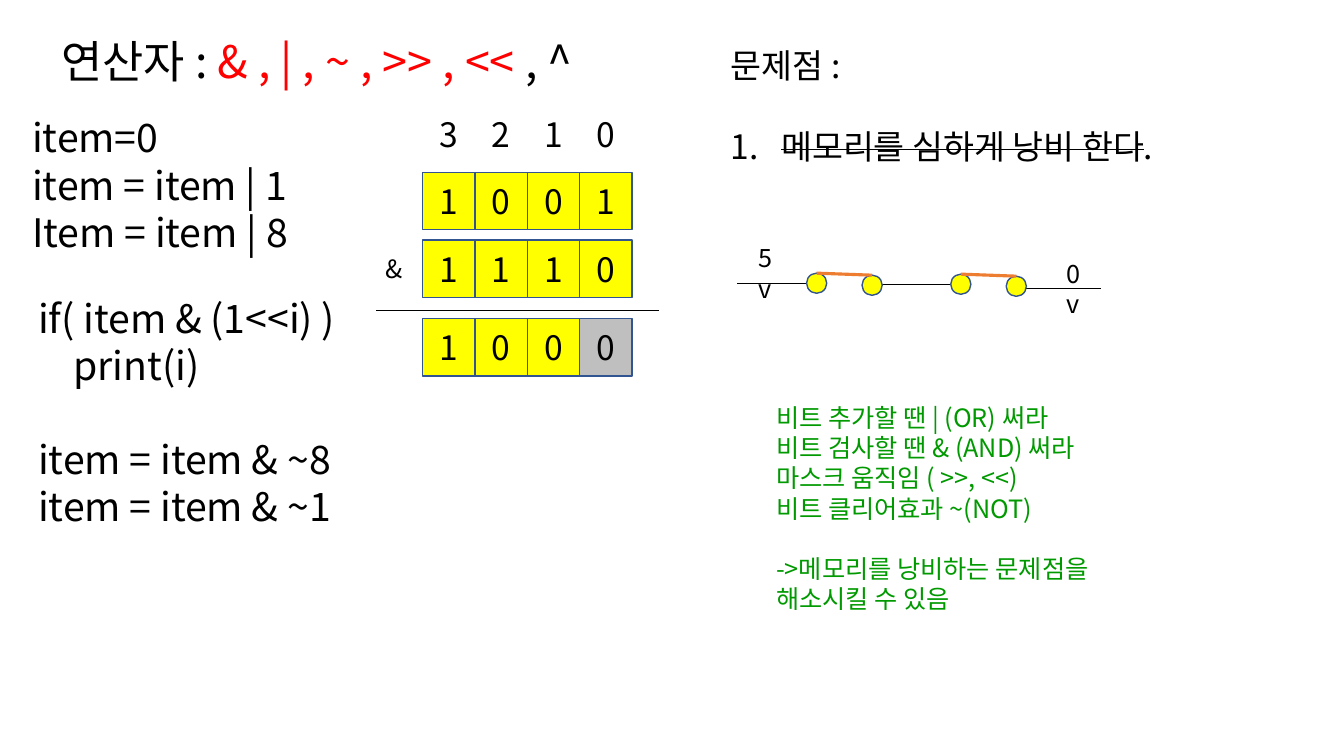
from lxml.etree import SubElement
from pptx import Presentation
from pptx.dml.color import RGBColor
from pptx.enum.shapes import MSO_CONNECTOR, MSO_SHAPE
from pptx.enum.text import MSO_ANCHOR, PP_ALIGN
from pptx.oxml.ns import qn
from pptx.util import Inches, Pt

FONT = "Noto Sans CJK KR"
COLORS = {
    "text": "000000",
    "operator": "FF0000",
    "advice": "009900",
    "bit": "FFFF00",
    "cleared": "BFBFBF",
    "outline": "325491",
    "lever": "ED7D31",
}
LINE_FACTOR = 1.2
CELL_WIDTH, CELL_HEIGHT = 0.52, 0.57
CIRCLE_SIZE = 0.2


def color(name):
    return RGBColor.from_string(COLORS[name])


def add_run(paragraph, text, size=24, fill="text", strike=False):
    run = paragraph.add_run()
    run.text = text
    run.font.size = Pt(size)
    run.font.name = FONT
    run.font.color.rgb = color(fill)
    properties = run._r.get_or_add_rPr()
    SubElement(properties, qn("a:ea")).set("typeface", FONT)
    if strike:
        properties.set("strike", "sngStrike")


def write_line(paragraph, text, size=24, fill="text", gap_lines=0, indent=0):
    line_height = size * LINE_FACTOR
    paragraph.line_spacing = Pt(line_height)
    paragraph.space_before = Pt(gap_lines * line_height)
    if indent:
        paragraph._p.get_or_add_pPr().set("marL", str(Inches(indent)))
    if text:
        add_run(paragraph, text, size, fill)


def add_text(slide, box, lines, size=24, fill="text"):
    shape = slide.shapes.add_textbox(*map(Inches, box))
    frame = shape.text_frame
    frame.word_wrap = True
    for index, (text, options) in enumerate(lines):
        paragraph = frame.add_paragraph() if index else frame.paragraphs[0]
        write_line(paragraph, text, size, fill, **options)
    return frame


def add_line(slide, start, end, stroke="text", width=0.5):
    points = map(Inches, (*start, *end))
    connector = slide.shapes.add_connector(MSO_CONNECTOR.STRAIGHT, *points)
    connector.line.color.rgb = color(stroke)
    connector.line.width = Pt(width)
    SubElement(connector._element.spPr, qn("a:effectLst"))


def add_outlined(slide, kind, box, fill):
    shape = slide.shapes.add_shape(kind, *map(Inches, box))
    shape.shadow.inherit = False
    shape.fill.solid()
    shape.fill.fore_color.rgb = color(fill)
    shape.line.color.rgb = color("outline")
    shape.line.width = Pt(1)
    return shape


def add_digits(slide, left, top, digits, fills=None):
    for index, digit in enumerate(digits):
        box = (left + index * CELL_WIDTH, top, CELL_WIDTH, CELL_HEIGHT)
        if fills:
            shape = add_outlined(slide, MSO_SHAPE.RECTANGLE, box, fills[index])
        else:
            shape = slide.shapes.add_textbox(*map(Inches, box))
        frame = shape.text_frame
        frame.word_wrap = True
        frame.vertical_anchor = MSO_ANCHOR.MIDDLE
        frame.paragraphs[0].alignment = PP_ALIGN.CENTER
        add_run(frame.paragraphs[0], digit)


def add_title(slide, box):
    paragraph = add_text(slide, box, [("연산자 : ", {})], size=32).paragraphs[0]
    add_run(paragraph, "& , | , ~ , >> , << ", 32, "operator")
    add_run(paragraph, ", ^", 32)


def add_code(slide, left, top):
    add_text(slide, (left, top, 2.92, 1.51), [
        ("item=0", {}),
        ("item = item | 1", {}),
        ("Item = item | 8", {}),
    ], size=28)
    add_text(slide, (left + 0.06, top + 1.79, 3.42, 2.93), [
        ("if( item & (1<<i) )", {}),
        ("print(i)", {"indent": 0.35}),
        ("item = item & ~8", {"gap_lines": 1}),
        ("item = item & ~1", {}),
    ], size=28)


def add_bit_grid(slide, left, top):
    digits_left = left + 0.46
    all_set = ["bit"] * 4
    add_digits(slide, digits_left, top, "3210")
    add_digits(slide, digits_left, top + 0.66, "1001", all_set)
    add_digits(slide, digits_left, top + 1.33, "1110", all_set)
    add_digits(slide, digits_left, top + 2.11, "1000", all_set[:3] + ["cleared"])
    add_line(slide, (left, top + 2.03), (left + 2.81, top + 2.03))
    add_text(slide, (left, top + 1.41, 0.41, 0.4), [("&", {})], size=18)


def add_problem(slide, box):
    frame = add_text(slide, box, [("문제점 :", {}), ("", {"gap_lines": 1})])
    paragraph = frame.paragraphs[1]
    add_run(paragraph, "메모리를 심하게 낭비 한다", strike=True)
    add_run(paragraph, ".")
    properties = paragraph._p.get_or_add_pPr()
    properties.set("marL", str(Inches(0.5)))
    properties.set("indent", str(Inches(-0.5)))
    SubElement(properties, qn("a:buFont")).set("typeface", "+mj-lt")
    SubElement(properties, qn("a:buAutoNum")).set("type", "arabicPeriod")


def add_switch(slide, left, top):
    drop, step = 0.02, 0.55
    for index in range(2):
        box = (left + index * step, top + index * drop, CIRCLE_SIZE, CIRCLE_SIZE)
        add_outlined(slide, MSO_SHAPE.OVAL, box, "bit")
    pivot = left + CIRCLE_SIZE / 2
    add_line(slide, (pivot, top), (pivot + step, top + drop), "lever", 2.25)


def add_circuit(slide, left, top):
    for offset, drop in ((0, 0.45), (1.41, 0.46), (2.84, 0.5)):
        start = left + offset
        add_line(slide, (start, top + drop), (start + 0.77, top + drop))
    add_switch(slide, left + 0.69, top + 0.35)
    add_switch(slide, left + 2.12, top + 0.36)
    for label, offset, drop in (("5v", 0.11, 0), ("0v", 3.17, 0.15)):
        add_text(slide, (left + offset, top + drop, 0.46, 0.4), [(label, {})], size=18)


def add_advice(slide, box):
    add_text(slide, box, [
        ("비트 추가할 땐 | (OR) 써라", {}),
        ("비트 검사할 땐 & (AND) 써라", {}),
        ("마스크 움직임 ( >>, <<)", {}),
        ("비트 클리어효과 ~(NOT)", {}),
        ("->메모리를 낭비하는 문제점을 해소시킬 수 있음", {"gap_lines": 1}),
    ], size=18, fill="advice")


def main():
    presentation = Presentation()
    presentation.slide_width = Inches(13.33)
    presentation.slide_height = Inches(7.5)
    slide = presentation.slides.add_slide(presentation.slide_layouts[6])
    add_title(slide, (0.51, 0.29, 6.39, 0.64))
    add_code(slide, 0.22, 1.08)
    add_bit_grid(slide, 3.73, 1.05)
    add_problem(slide, (7.15, 0.4, 4.84, 1.72))
    add_circuit(slide, 7.31, 2.36)
    add_advice(slide, (7.6, 3.94, 4.08, 2.22))
    presentation.save("out.pptx")


if __name__ == "__main__":
    main()
